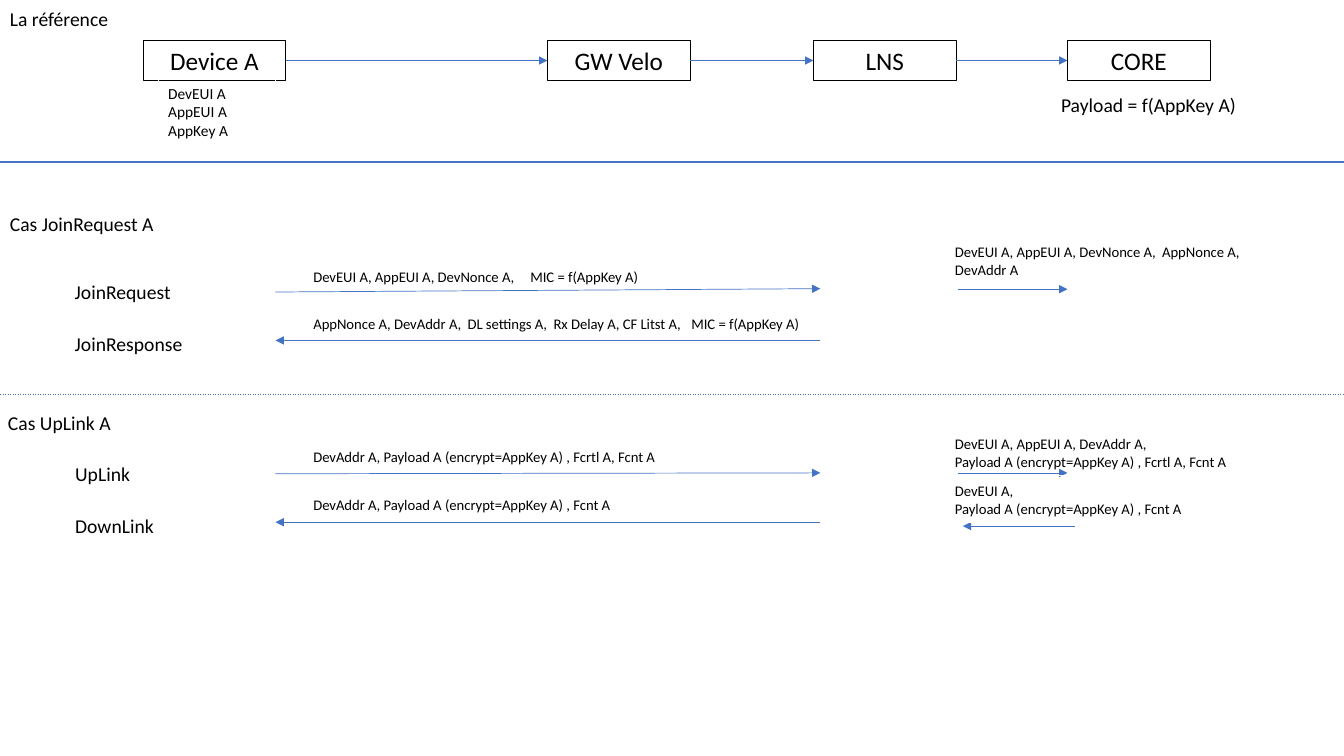
from dataclasses import dataclass

import lxml.etree
import pptx
import pptx.dml.color
import pptx.enum.dml
import pptx.enum.shapes
import pptx.enum.text
import pptx.oxml.ns
import pptx.util

Pt = pptx.util.Pt
qn = pptx.oxml.ns.qn
BLACK, WHITE, BLUE = "000000", "FFFFFF", "4472C4"
WIDE, HIGH = 960, 540
NODE_W, NODE_H, NODE_Y = 102, 28.8, 28.8
MID_Y = NODE_Y + NODE_H / 2


@dataclass
class Box:
    text: str
    left: float
    top: float
    width: float
    height: float = 24.5
    size: float = 14
    edge: str = WHITE
    center: bool = False
    tabs: tuple[float, ...] = ()


@dataclass
class Line:
    x1: float
    y1: float
    x2: float
    y2: float
    weight: float = 0.5
    arrow: bool = True
    dash: bool = False


def color(code: str) -> pptx.dml.color.RGBColor:
    return pptx.dml.color.RGBColor.from_string(code)


def draw_box(slide, box: Box) -> None:
    shape = slide.shapes.add_textbox(
        Pt(box.left), Pt(box.top), Pt(box.width), Pt(box.height))
    shape.line.color.rgb = color(box.edge)
    shape.line.width = Pt(0.75)
    frame = shape.text_frame
    frame.word_wrap = True
    frame.text = box.text
    align = pptx.enum.text.PP_ALIGN
    for para in frame.paragraphs:
        para.alignment = align.CENTER if box.center else align.LEFT
        if box.tabs:
            stops = lxml.etree.SubElement(para._p.get_or_add_pPr(), qn("a:tabLst"))
            for stop in box.tabs:
                lxml.etree.SubElement(
                    stops, qn("a:tab"), pos=str(int(Pt(stop))), algn="l")
        for run in para.runs:
            run.font.name = "Calibri"
            run.font.size = Pt(box.size)
            run.font.color.rgb = color(BLACK)


def draw_line(slide, line: Line) -> None:
    wire = slide.shapes.add_connector(
        pptx.enum.shapes.MSO_CONNECTOR.STRAIGHT,
        Pt(line.x1), Pt(line.y1), Pt(line.x2), Pt(line.y2))
    wire.line.color.rgb = color(BLUE)
    wire.line.width = Pt(line.weight)
    if line.dash:
        wire.line.dash_style = pptx.enum.dml.MSO_LINE.DASH
    if line.arrow:
        lxml.etree.SubElement(
            wire.line._get_or_add_ln(), qn("a:tailEnd"), type="triangle")
    lxml.etree.SubElement(wire._element.spPr, qn("a:effectLst"))


def note(text: str, left: float, top: float, width: float,
         tabs: tuple[float, ...] = ()) -> Box:
    height = 32.4 if "\n" in text else 20.2
    return Box(text, left, top, width, height, 10.5, tabs=tabs)


NODES = {"Device A": 102.2, "GW Velo": 391, "LNS": 581, "CORE": 762.5}
NOTE_X, CORE_X = 216.7, 675
FROM_X, TO_X = 196.8, 586

nodes = [Box(name, left, NODE_Y, NODE_W, NODE_H, 18, BLACK, True)
         for name, left in NODES.items()]
lefts = list(NODES.values())
links = [Line(left + NODE_W, MID_Y, right, MID_Y)
         for left, right in zip(lefts, lefts[1:])]

rules = [
    Line(0, 115.7, WIDE, 115.7, 1.5, False),
    Line(0, 281.5, WIDE, 281.5, 0.25, False, True),
]
flows = [
    Line(FROM_X, 208.6, TO_X, 206.2),
    Line(684, 206.6, 762.5, 206.6),
    Line(TO_X - 0.6, 243.2, FROM_X, 243.2),
    Line(FROM_X, 338.4, TO_X, 337.8),
    Line(684, 337.8, 762.5, 337.8),
    Line(TO_X - 0.6, 373, FROM_X, 373),
    Line(768, 375.8, 687.8, 375.8),
]

request = note("DevEUI A, AppEUI A, DevNonce A,\tMIC = f(AppKey A)",
               NOTE_X, 187.9, 308.9, (155,))
labels = [
    Box("La référence", 0, 1.4, 92),
    Box("DevEUI A\nAppEUI A\nAppKey A", 113, 56.4, 83.7, 47.3, 11),
    Box("Payload = f(AppKey A)", 750.8, 62.6, 158.4),
    Box("Cas JoinRequest A", 0, 147.8, 129.6),
    Box("JoinRequest", 46.3, 196.6, 110),
    Box("JoinResponse", 46.3, 233.8, 101),
    Box("Cas UpLink A", -1.4, 290.2, 102.2),
    Box("UpLink", 46.6, 326.3, 110),
    Box("DownLink", 46.6, 363.6, 101),
    note("AppNonce A, DevAddr A,\tDL settings A,\tRx Delay A, CF Litst A,"
         "\tMIC = f(AppKey A)", NOTE_X, 221.6, 381, (110.2, 171.6, 270)),
    note("DevAddr A, Payload A (encrypt=AppKey A) , Fcrtl A, Fcnt A",
         NOTE_X, 316.3, 308.9),
    note("DevAddr A, Payload A (encrypt=AppKey A) , Fcnt A",
         NOTE_X, 350.8, 308.9),
    note("DevEUI A, AppEUI A, DevNonce A,\tAppNonce A,\nDevAddr A",
         CORE_X, 170, 262, (148,)),
    note("DevEUI A, AppEUI A, DevAddr A,\n"
         "Payload A (encrypt=AppKey A) , Fcrtl A, Fcnt A", CORE_X, 307.3, 226.8),
    note("DevEUI A,\nPayload A (encrypt=AppKey A) , Fcnt A",
         CORE_X, 340.8, 226.8),
]

deck = pptx.Presentation()
deck.slide_width, deck.slide_height = Pt(WIDE), Pt(HIGH)
slide = deck.slides.add_slide(deck.slide_layouts[6])
for box in nodes + [request]:
    draw_box(slide, box)
for line in links + rules + flows:
    draw_line(slide, line)
for box in labels:
    draw_box(slide, box)
deck.save("out.pptx")
